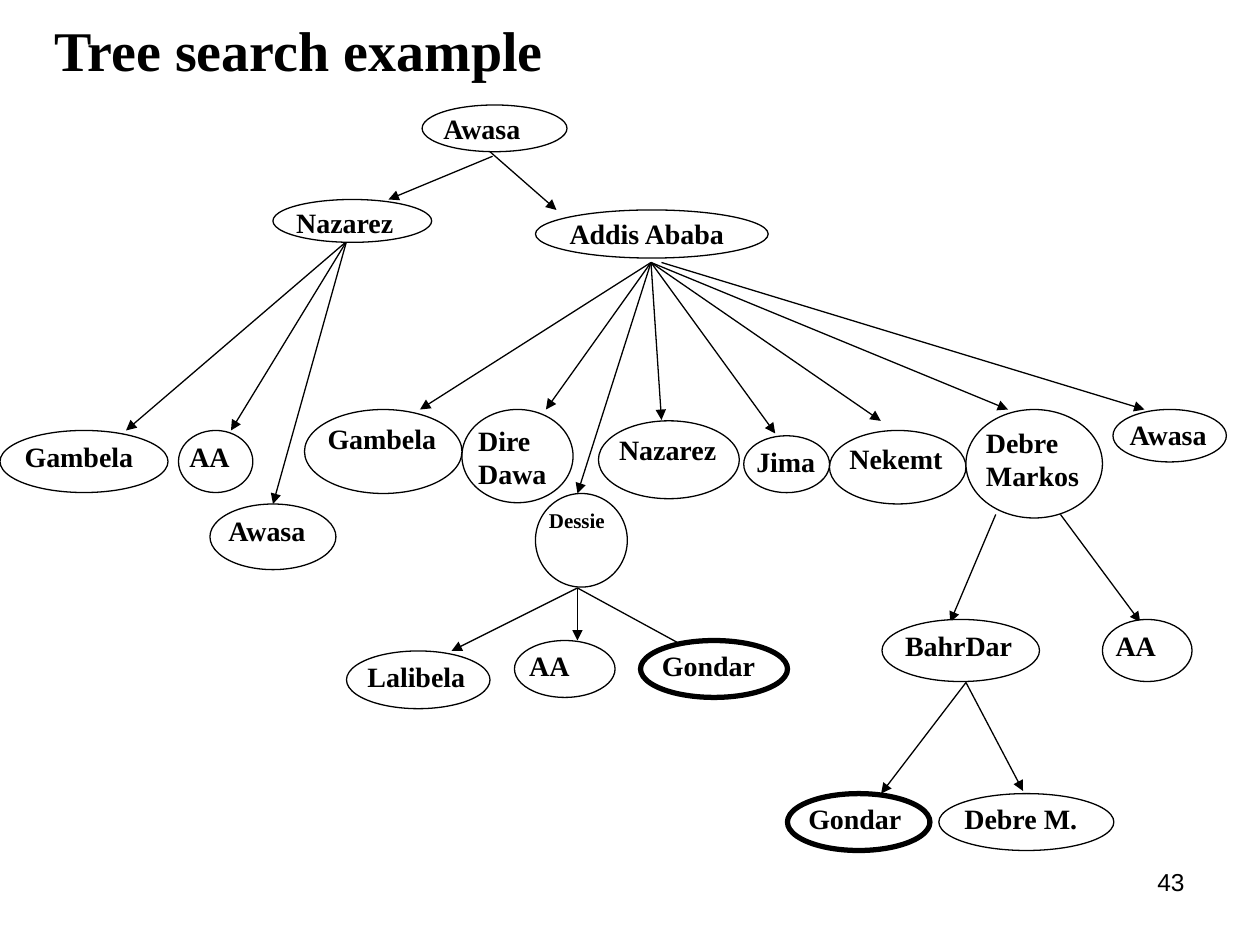
from lxml.etree import SubElement
from pptx import Presentation
from pptx.dml.color import RGBColor
from pptx.enum.shapes import MSO_CONNECTOR, MSO_SHAPE
from pptx.enum.text import MSO_ANCHOR, PP_ALIGN
from pptx.oxml.ns import qn
from pptx.util import Pt

# Content: city, left, top, width, height in points
TITLE = "Tree search example"
PAGE_NUMBER = "43"
GOAL = "Gondar"
SMALL = "Dessie"
CITIES = [
    # Start and first level
    ("Awasa", 241.2, 60, 82.8, 26.7),
    ("Addis Ababa", 306, 120, 133, 27.5),
    ("Nazarez", 156, 114, 90.7, 24.5),
    # Below Nazarez
    ("Gambela", 0, 246, 96, 35.5),
    ("AA", 102, 246, 42.5, 35.5),
    ("Awasa", 120, 288, 72, 37.5),
    # Below Addis Ababa
    ("Nekemt", 474, 246, 78, 42),
    ("Nazarez", 342, 240.5, 80.5, 44.5),
    ("Awasa", 636, 234, 64.8, 30),
    ("Dessie", 306, 282, 52.5, 53.5),
    ("Dire Dawa", 264, 234, 63.5, 53.3),
    ("Jima", 425, 249, 49, 32.5),
    ("Debre Markos", 552, 234, 78, 62),
    ("Gambela", 174, 234, 90, 48),
    # Below Dessie
    ("Gondar", 366, 366, 84, 32.5),
    ("Lalibela", 198, 372, 82, 33),
    ("AA", 294, 366, 57.5, 32.5),
    # Below Debre Markos
    ("AA", 630, 354, 51.2, 35.5),
    ("BahrDar", 504, 354, 90, 35.5),
    # Below BahrDar
    ("Gondar", 450, 453.5, 81.4, 32.5),
    ("Debre M.", 536.5, 453.5, 100, 32.5),
]

# Arrows: one starting point and the tips it fans out to
FANS = [
    ((281.5, 89.3), [(222, 114)]),
    ((280, 86.7), [(318, 120)]),
    ((198, 138), [(72, 246), (132, 246), (156, 288)]),
    ((372, 150), [(240, 234), (312, 234), (378, 240), (330, 282),
                  (503.3, 240.5), (576, 234), (443, 247.7)]),
    ((378, 150), [(654, 234)]),
    ((569, 294), [(543, 355.5)]),
    ((606, 294), [(651.6, 355.5)]),
    ((330, 336), [(396, 372), (258, 372), (330, 366)]),
    ((552, 390), [(503.5, 453.5), (584.6, 452)]),
]

THEME = {
    "ink": RGBColor(0, 0, 0),
    "paper": RGBColor(255, 255, 255),
    "serif": "Times New Roman",
    "sans": "Arial",
    "title": Pt(32),
    "city": Pt(16),
    "small": Pt(12),
    "number": Pt(14),
    "thin": Pt(0.75),
    "thick": Pt(3),
}


def apply(target, values):
    for name, value in values.items():
        setattr(target, name, value)


def write(shape, text, size, font, bold, inset=(0, 0),
          anchor=MSO_ANCHOR.TOP, align=PP_ALIGN.LEFT):
    frame = shape.text_frame
    across, down = (Pt(length) for length in inset)
    apply(frame, {"word_wrap": True, "vertical_anchor": anchor,
                  "margin_left": across, "margin_right": across,
                  "margin_top": down, "margin_bottom": down})
    paragraph = frame.paragraphs[0]
    paragraph.alignment = align
    span = paragraph.add_run()
    span.text = text
    apply(span.font, {"size": size, "name": font, "bold": bold})
    span.font.color.rgb = THEME["ink"]


def draw_arrow(page, start, tip):
    arrow = page.shapes.add_connector(
        MSO_CONNECTOR.STRAIGHT, *(Pt(length) for length in start + tip))
    arrow.line.color.rgb = THEME["ink"]
    arrow.line.width = THEME["thin"]
    outline = arrow.line._get_or_add_ln()
    SubElement(outline, qn("a:tailEnd"), type="triangle")
    SubElement(outline.getparent(), qn("a:effectLst"))


def draw_city(page, name, *place):
    oval = page.shapes.add_shape(
        MSO_SHAPE.OVAL, *(Pt(length) for length in place))
    oval.shadow.inherit = False
    oval.fill.solid()
    oval.fill.fore_color.rgb = THEME["paper"]
    oval.line.color.rgb = THEME["ink"]
    oval.line.width = THEME["thick" if name == GOAL else "thin"]
    size = THEME["small" if name == SMALL else "city"]
    write(oval, name, size, THEME["serif"], True)


def main():
    deck = Presentation()
    deck.slide_width, deck.slide_height = Pt(720), Pt(540)
    page = deck.slides.add_slide(deck.slide_layouts[6])

    # Title and page number
    title = page.shapes.add_textbox(Pt(24), Pt(12), Pt(648), Pt(32.4))
    write(title, TITLE, THEME["title"], THEME["serif"], True,
          (7.2, 3.6), MSO_ANCHOR.MIDDLE)
    number = page.shapes.add_textbox(Pt(516), Pt(492), Pt(168), Pt(37.5))
    write(number, PAGE_NUMBER, THEME["number"], THEME["sans"], False,
          (7.2, 3.6), align=PP_ALIGN.RIGHT)

    # Arrows lie beneath the cities
    for start, tips in FANS:
        for tip in tips:
            draw_arrow(page, start, tip)
    for city in CITIES:
        draw_city(page, *city)

    deck.save("out.pptx")


if __name__ == "__main__":
    main()
